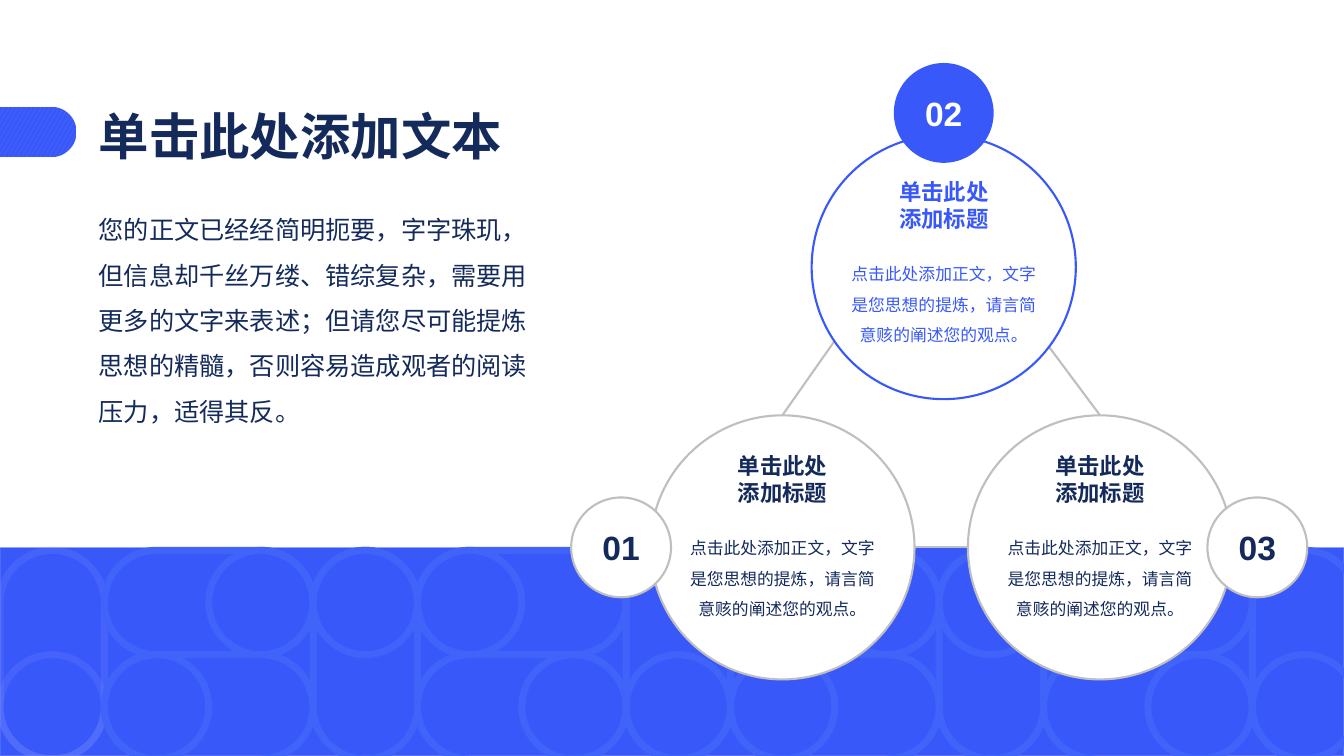
"""Builds a slide with a heading, a text block and three linked circles above a patterned band."""
from dataclasses import dataclass
from math import cos, pi, sin

from lxml.etree import SubElement
from pptx import Presentation
from pptx.dml.color import RGBColor
from pptx.enum.dml import MSO_PATTERN
from pptx.enum.shapes import MSO_CONNECTOR, MSO_SHAPE
from pptx.enum.text import MSO_ANCHOR, MSO_AUTO_SIZE, PP_ALIGN
from pptx.oxml.ns import qn
from pptx.util import Inches, Pt


@dataclass(frozen=True)
class Theme:
    """Colours, font and type sizes of the slide."""
    font: str = "Arial"
    blue: str = "3858FA"
    navy: str = "142A5B"
    white: str = "FFFFFF"
    grey: str = "BFBFBF"
    pattern: str = "4063FA"
    glow: str = "889BFC"
    confetti: str = "5C73FB"
    heading: int = 36
    number: int = 24
    body: int = 18
    label: int = 16
    detail: int = 12


THEME = Theme()
WIDTH, HEIGHT = 13.33, 7.5
HEADING = "单击此处添加文本"
BODY = ("您的正文已经经简明扼要，字字珠玑，但信息却千丝万缕、错综复杂，需要用更多的文字来表述；"
        "但请您尽可能提炼思想的精髓，否则容易造成观者的阅读压力，适得其反。")
LABEL = ["单击此处", "添加标题"]
DETAIL = ["点击此处添加正文，文字是您思想的提炼，请言简意赅的阐述您的观点。"]

BAND_TOP = 5.43
TILE, TILE_TOP = 1.035, 5.46
TILE_CYCLE = [("column", 0, 0, 1), ("row", 1, 1, 1), ("row", 1, 0, 2),
              ("column", 3, 0, 0), ("row", 4, 0, 4), ("row", 4, 1, 5)]
TILE_COLUMNS, CYCLE_COLUMNS = 13, 6

DISC, BADGE = 2.62, 0.99
DISCS = [
    {"number": "01", "center": (7.76, 5.43), "badge": (6.16, 5.43), "accent": False},
    {"number": "02", "center": (9.36, 2.65), "badge": (9.36, 1.12), "accent": True},
    {"number": "03", "center": (10.91, 5.43), "badge": (12.47, 5.43), "accent": False},
]
SIDE_LINKS = [((8.42, 3.18), (7.76, 4.12)), ((10.91, 4.12), (10.21, 3.18))]
BASE_LINK = ((9.6, 5.43), (9.07, 5.43))
TAB_TOP, TAB_STRAIGHT, TAB_RADIUS = 1.06, 0.51, 0.25


def color(code):
    """Returns an RGB colour."""
    return RGBColor.from_string(code)


def stroke(shape, code, width, alpha=None):
    """Sets the outline, with an optional opacity in percent."""
    shape.line.color.rgb = color(code)
    shape.line.width = Pt(width)
    if alpha:
        tint = shape.line.fill._xPr.find(qn("a:solidFill"))[0]
        SubElement(tint, qn("a:alpha")).set("val", str(alpha * 1000))


def add_shape(shapes, kind, left, top, width, height, fill=None):
    """Adds a preset shape without shadow or outline."""
    shape = shapes.add_shape(kind, Inches(left), Inches(top), Inches(width), Inches(height))
    shape.shadow.inherit = False
    if fill:
        shape.fill.solid()
        shape.fill.fore_color.rgb = color(fill)
    else:
        shape.fill.background()
    shape.line.fill.background()
    return shape


def add_circle(shapes, center, size, fill):
    """Adds a circle around its centre."""
    return add_shape(shapes, MSO_SHAPE.OVAL, center[0] - size / 2, center[1] - size / 2,
                     size, size, fill)


def write(frame, lines, size, ink, bold=False, align=PP_ALIGN.LEFT, spacing=None):
    """Writes one paragraph per line into a text frame."""
    frame.word_wrap = True
    for index, text in enumerate(lines):
        para = frame.add_paragraph() if index else frame.paragraphs[0]
        para.alignment = align
        if spacing:
            para.line_spacing = spacing
        span = para.add_run()
        span.text = text
        span.font.name = THEME.font
        span.font.size = Pt(size)
        span.font.bold = bold
        span.font.color.rgb = color(ink)


def add_text(page, left, top, width, height, lines, grow=False, **style):
    """Adds a text box."""
    box = page.shapes.add_textbox(Inches(left), Inches(top), Inches(width), Inches(height))
    write(box.text_frame, lines, **style)
    if grow:
        box.text_frame.auto_size = MSO_AUTO_SIZE.SHAPE_TO_FIT_TEXT


def add_link(page, start, end):
    """Adds a grey straight connector."""
    link = page.shapes.add_connector(MSO_CONNECTOR.STRAIGHT, *map(Inches, start + end))
    stroke(link, THEME.grey, 1.5)
    SubElement(link._element.spPr, qn("a:effectLst"))


def add_band(page):
    """Adds the blue band and its pattern of pills and circles."""
    band = page.shapes.add_group_shape().shapes
    panel = add_shape(band, MSO_SHAPE.RECTANGLE, 0, BAND_TOP, WIDTH, HEIGHT - BAND_TOP, THEME.blue)
    stroke(panel, THEME.white, 1, 17)
    for start in range(0, TILE_COLUMNS, CYCLE_COLUMNS):
        for direction, column, row, circle in TILE_CYCLE:
            if start + column >= TILE_COLUMNS:
                continue
            upright = direction == "column"
            shift = 0.5 if upright else 0
            pill = add_shape(band, MSO_SHAPE.ROUNDED_RECTANGLE, (start + column - shift) * TILE,
                             TILE_TOP + (row + shift) * TILE, 2 * TILE, TILE)
            pill.adjustments[0] = 0.5
            pill.rotation = 90 if upright else 0
            circle_row = circle if upright else row
            circle_column = column if upright else circle
            ring = add_shape(band, MSO_SHAPE.OVAL, (start + circle_column) * TILE,
                             TILE_TOP + circle_row * TILE, TILE, TILE)
            for part in (pill, ring):
                if start + column == 0:
                    stroke(part, THEME.glow, 5, 17)
                else:
                    stroke(part, THEME.pattern, 5)


def add_tab(page):
    """Adds the patterned tab with a round end at the left edge."""
    steps = 32
    arc = [(TAB_STRAIGHT + TAB_RADIUS * sin(pi * step / steps),
            TAB_TOP + TAB_RADIUS * (1 - cos(pi * step / steps))) for step in range(steps + 1)]
    outline = page.shapes.build_freeform(0, Inches(TAB_TOP))
    points = arc + [(0, TAB_TOP + 2 * TAB_RADIUS)]
    outline.add_line_segments([(Inches(x), Inches(y)) for x, y in points], close=True)
    tab = outline.convert_to_shape()
    tab.shadow.inherit = False
    tab.fill.patterned()
    tab.fill.pattern = MSO_PATTERN.LARGE_CONFETTI
    tab.fill.fore_color.rgb = color(THEME.confetti)
    tab.fill.back_color.rgb = color(THEME.blue)
    tab.line.fill.background()


def main():
    """Builds and saves the deck."""
    deck = Presentation()
    deck.slide_width, deck.slide_height = Inches(WIDTH), Inches(HEIGHT)
    page = deck.slides.add_slide(deck.slide_layouts[6])
    add_band(page)
    for start, end in SIDE_LINKS:
        add_link(page, start, end)
    for disc in DISCS:
        circle = add_circle(page.shapes, disc["center"], DISC, THEME.white)
        stroke(circle, THEME.blue if disc["accent"] else THEME.grey, 1.5)
    add_link(page, *BASE_LINK)
    for disc in DISCS:
        accent = disc["accent"]
        badge = add_circle(page.shapes, disc["badge"], BADGE, THEME.blue if accent else THEME.white)
        if not accent:
            stroke(badge, THEME.grey, 1.5)
        badge.text_frame.vertical_anchor = MSO_ANCHOR.MIDDLE
        write(badge.text_frame, [disc["number"]], THEME.number,
              THEME.white if accent else THEME.navy, bold=True, align=PP_ALIGN.CENTER)
    add_text(page, 0.88, 0.99, 4.44, 0.79, [HEADING], size=THEME.heading, ink=THEME.navy, bold=True)
    add_text(page, 0.88, 1.93, 4.45, 3.27, [BODY], size=THEME.body, ink=THEME.navy, spacing=1.5)
    add_tab(page)
    for disc in DISCS:
        x, y = disc["center"]
        ink = THEME.blue if disc["accent"] else THEME.navy
        top = y - (0.93 if disc["accent"] else 0.99)
        add_text(page, x - 0.855, top, 1.71, 0.64, LABEL, grow=True, size=THEME.label, ink=ink,
                 bold=True, align=PP_ALIGN.CENTER)
        add_text(page, x - 1.06, top + 0.75, 2.12, 1.06, DETAIL, size=THEME.detail, ink=ink,
                 align=PP_ALIGN.CENTER, spacing=1.5)
    deck.save("out.pptx")


if __name__ == "__main__":
    main()
